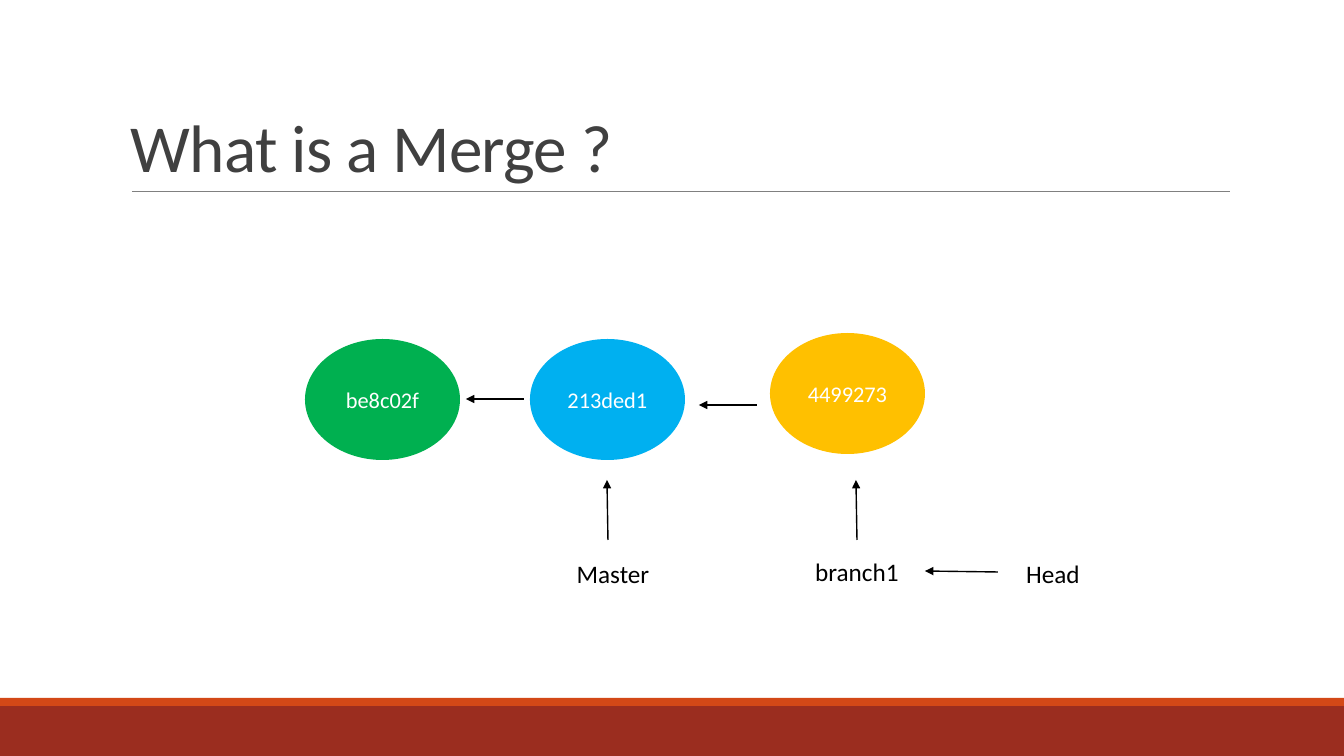
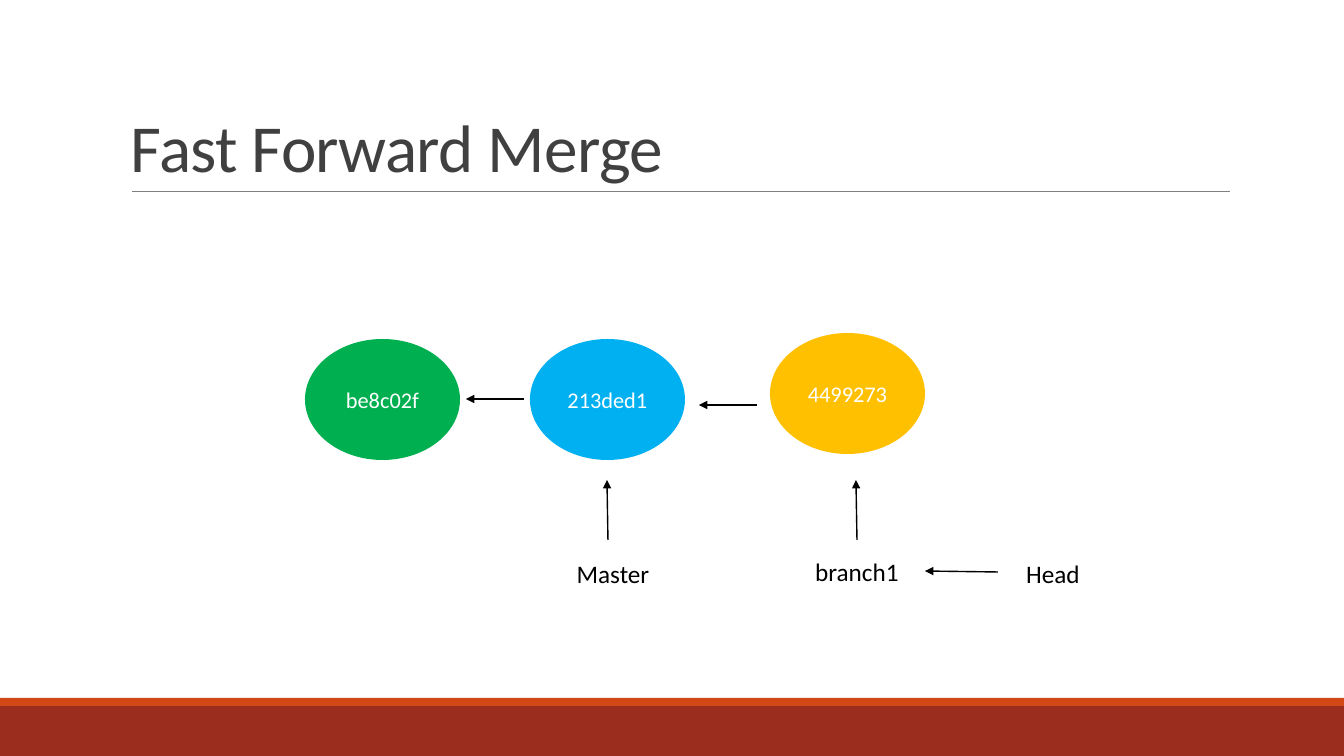
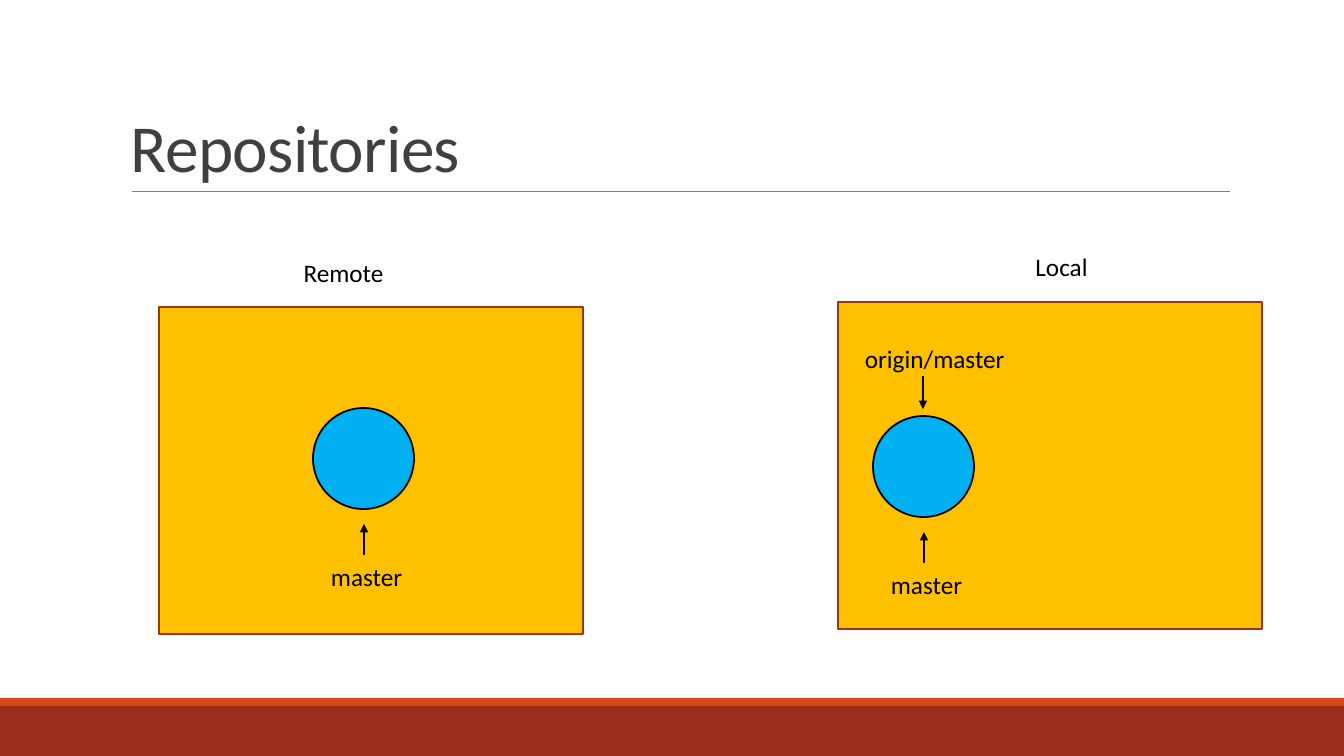
import pptx
import pptx.util
import pptx.dml.color
import pptx.enum.shapes
import pptx.enum.text
import pptx.oxml.ns
import lxml.etree

EMU_PER_PX = 914400 / 100.8
FONT = "Calibri"
COLORS = {
    "band": "9B2D1F", "stripe": "D34817", "rule": "808080", "title": "404040",
    "black": "000000", "white": "FFFFFF", "blue": "00B0F0", "green": "00B050",
    "yellow": "FFC000", "border": "9C3511",
}
ALIGN = pptx.enum.text.PP_ALIGN
ANCHOR = pptx.enum.text.MSO_ANCHOR
SHAPE = pptx.enum.shapes.MSO_SHAPE


def px(length):
    return pptx.util.Emu(round(length * EMU_PER_PX))


def color(name):
    return pptx.dml.color.RGBColor.from_string(COLORS[name])


def write_text(shape, text, size=18, ink="black", align=ALIGN.CENTER,
               anchor=ANCHOR.TOP, line_spacing=None, tracking=None):
    frame = shape.text_frame
    frame.word_wrap = True
    frame.vertical_anchor = anchor
    paragraph = frame.paragraphs[0]
    paragraph.alignment = align
    if line_spacing:
        paragraph.line_spacing = line_spacing
    run = paragraph.add_run()
    run.text = text
    run.font.name = FONT
    run.font.size = pptx.util.Pt(size)
    run.font.color.rgb = color(ink)
    if tracking:
        run.font._element.set("spc", str(tracking))


def add_box(slide, kind, left, top, width, height, fill, line=None):
    shape = slide.shapes.add_shape(kind, px(left), px(top), px(width), px(height))
    shape.shadow.inherit = False
    shape.fill.solid()
    shape.fill.fore_color.rgb = color(fill)
    if line:
        shape.line.color.rgb = color(line)
        shape.line.width = pptx.util.Pt(1.25)
    else:
        shape.line.fill.background()
    return shape


def add_line(slide, start, end, ink="black", width=1, arrow=True):
    connector = slide.shapes.add_connector(
        pptx.enum.shapes.MSO_CONNECTOR.STRAIGHT,
        px(start[0]), px(start[1]), px(end[0]), px(end[1]))
    connector.line.color.rgb = color(ink)
    connector.line.width = pptx.util.Pt(width)
    qn = pptx.oxml.ns.qn
    if arrow:
        outline = connector.line._get_or_add_ln()
        lxml.etree.SubElement(outline, qn("a:tailEnd"), type="triangle")
    lxml.etree.SubElement(connector._element.spPr, qn("a:effectLst"))


def add_label(slide, text, left, top, width, align=ALIGN.CENTER):
    label = slide.shapes.add_textbox(px(left), px(top), px(width), px(40))
    write_text(label, text, align=align)
    label.text_frame.auto_size = pptx.enum.text.MSO_AUTO_SIZE.SHAPE_TO_FIT_TEXT


def add_commit(slide, commit_hash, left, top, fill):
    commit = add_box(slide, SHAPE.OVAL, left, top, 155, 121, fill)
    write_text(commit, commit_hash, size=16, ink="white", anchor=ANCHOR.MIDDLE)


def add_slide(presentation, title):
    """Start a slide with the shared bands, rule and title."""
    slide = presentation.slides.add_slide(presentation.slide_layouts[6])
    add_box(slide, SHAPE.RECTANGLE, 0, 706, 1344, 50, "band")
    add_box(slide, SHAPE.RECTANGLE, 0, 698, 1344, 8, "stripe")
    add_line(slide, (132, 191), (1230, 191), ink="rule", width=0.5, arrow=False)
    box = slide.shapes.add_textbox(px(121), px(31), px(1109), px(160))
    write_text(box, title, size=48, ink="title", align=ALIGN.LEFT,
               anchor=ANCHOR.BOTTOM, line_spacing=0.85, tracking=-50)
    return slide


def add_history(presentation, title):
    """Commit chain with its branch and head pointers."""
    slide = add_slide(presentation, title)
    for commit in (("be8c02f", 305, 339, "green"),
                   ("213ded1", 530, 339, "blue"),
                   ("4499273", 770, 333, "yellow")):
        add_commit(slide, *commit)
    for name, left, top in (("Master", 503, 553), ("branch1", 747, 551),
                            ("Head", 943, 553)):
        add_label(slide, name, left, top, 220)
    # Parent links between commits
    for left, y in ((466, 399), (699, 405)):
        add_line(slide, (left + 58, y), (left, y))
    # Branch pointers, then the head pointer
    for x in (607, 856):
        add_line(slide, (x + 1, 540), (x, 480))
    add_line(slide, (998, 572), (925, 571))


def add_repository(slide, name, name_at, frame_at, commit_at):
    """Framed repository with one commit and its master pointer."""
    add_label(slide, name, *name_at, 149)
    add_box(slide, SHAPE.RECTANGLE, *frame_at, 424, 327, "yellow", line="border")
    left, top = commit_at
    add_box(slide, SHAPE.OVAL, left, top, 101, 101, "blue", line="black")
    add_line(slide, (left + 51, top + 147), (left + 51, top + 116))
    add_label(slide, "master", left + 8, top + 148, 100, align=ALIGN.LEFT)


def add_repositories(presentation):
    slide = add_slide(presentation, "Repositories")
    add_repository(slide, "Remote", (269, 252), (159, 307), (313, 408))
    add_repository(slide, "Local", (987, 246), (838, 302), (873, 416))
    # Remote-tracking pointer
    add_label(slide, "origin/master", 855, 338, 207, align=ALIGN.LEFT)
    add_line(slide, (923, 376), (923, 409))


def main():
    presentation = pptx.Presentation()
    presentation.slide_width = px(1344)
    presentation.slide_height = px(756)
    for title in ("What is a Merge ?", "Fast Forward Merge"):
        add_history(presentation, title)
    add_repositories(presentation)
    presentation.save("out.pptx")


if __name__ == "__main__":
    main()
